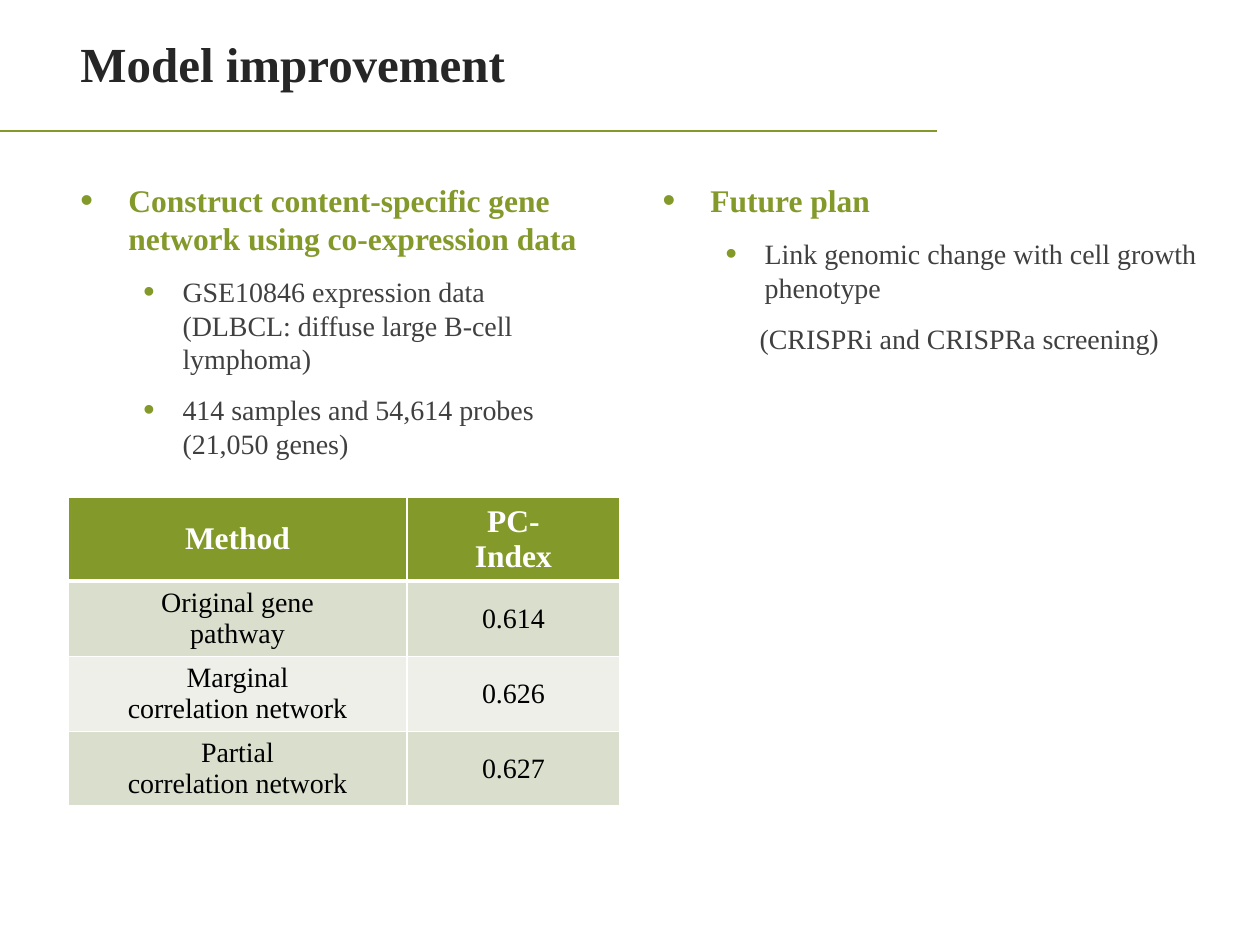
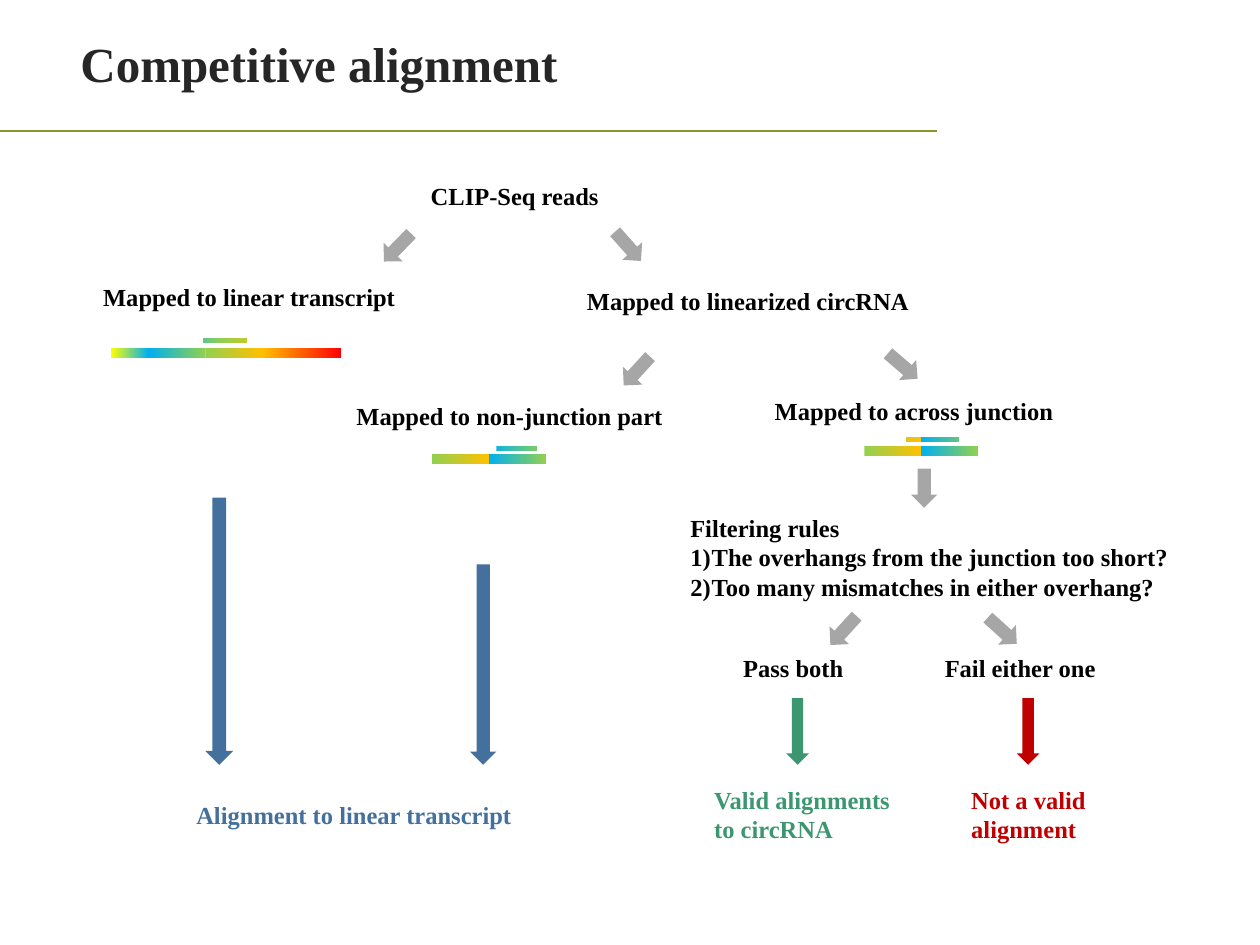
from pptx import Presentation
from pptx.dml.color import RGBColor
from pptx.enum.shapes import MSO_CONNECTOR, MSO_SHAPE
from pptx.enum.text import MSO_ANCHOR, PP_ALIGN
from pptx.oxml.ns import qn
from pptx.util import Pt
from lxml import etree

RECT, DOWN = MSO_SHAPE.RECTANGLE, MSO_SHAPE.DOWN_ARROW
LINE = MSO_CONNECTOR.STRAIGHT
MIDDLE, CENTER = MSO_ANCHOR.MIDDLE, PP_ALIGN.CENTER
FONT = "Times New Roman"
OLIVE, INK, BODY = "83992A", "262626", "404040"
BLACK, WHITE, GRAY = "000000", "FFFFFF", "A6A6A6"
BLUE, GREEN, RED = "44709D", "3C9770", "C00000"
BANDS = ("D9DECD", "EDEFE8")
LIME, GOLD, SKY = "92D050", "FFC000", "00B0F0"
FIRST, SECOND = (45, LIME, GOLD), (45, SKY, LIME)
LINEAR = ((30, "FFFF00", SKY), SECOND, FIRST, (63, GOLD, "FF0000"))
CIRCLE = (FIRST, SECOND)


def px(n):
    """Turn px, a hundred to the inch, into EMU."""
    return round(n * 9144)


def box(*sides):
    """Turn several px lengths into EMU."""
    return [px(n) for n in sides]


def color(code):
    """Make a colour from a hex string."""
    return RGBColor.from_string(code)


def style(para, size, code, bold=True):
    """Set the font of a paragraph."""
    font = para.font
    font.name, font.size, font.bold = FONT, Pt(size), bold
    font.color.rgb = color(code)


def node(parent, tag, **attrs):
    """Add a drawing element to a parent."""
    return etree.SubElement(parent, qn("a:" + tag), attrs)


def indent(para, left, hang):
    """Set a left margin and a hanging indent."""
    props = para._p.get_or_add_pPr()
    props.set("marL", str(px(left)))
    props.set("indent", str(-px(hang)))
    return props


def bullet(para, left, hang):
    """Give a paragraph a round olive bullet."""
    props = indent(para, left, hang)
    node(node(props, "buClr"), "srgbClr", val=OLIVE)
    node(props, "buSzPct", val="115000")
    node(props, "buFont", typeface="Arial")
    node(props, "buChar", char="•")


def text(slide, words, x, y, w, h, code=BLACK, size=14):
    """Add a bold text box and return its frame."""
    frame = slide.shapes.add_textbox(*box(x, y, w, h)).text_frame
    frame.word_wrap = True
    frame.text = words
    for para in frame.paragraphs:
        style(para, size, code)
    return frame


def page(deck, title):
    """Add a slide with its title and rule."""
    slide = deck.slides.add_slide(deck.slide_layouts[6])
    rule = slide.shapes.add_connector(LINE, *box(0, 104, 744, 104))
    rule.line.color.rgb = color(OLIVE)
    rule.line.width = Pt(1.25)
    node(rule._element.spPr, "effectLst")
    frame = text(slide, title, 54, 8, 689, 84, INK, 28)
    frame.vertical_anchor = MIDDLE
    return slide


def outline(slide, head, items, x, y, w, h):
    """Add a bulleted heading with its points and return the frame."""
    frame = text(slide, "\n".join([head, *items]), x, y, w, h, BODY, 16)
    first, *rest = frame.paragraphs
    for para in frame.paragraphs:
        para.space_before = Pt(10)
    style(first, 18, OLIVE)
    bullet(first, 38, 38)
    for para in rest:
        style(para, 16, BODY, False)
        bullet(para, 81, 31)
    return frame


def border(cell, heavy):
    """Draw white cell edges, with a thick lower one if heavy."""
    props = cell._tc.get_or_add_tcPr()
    for side in "LRTB":
        width = Pt(3) if heavy and side == "B" else Pt(1)
        edge = node(props, "ln" + side, w=str(width))
        node(node(edge, "solidFill"), "srgbClr", val=WHITE)


def table(slide, rows, x, y, widths, heights):
    """Add a banded table with an olive head row."""
    grid = slide.shapes.add_table(
        len(rows), len(widths), *box(x, y, sum(widths), sum(heights))).table
    for col, width in zip(grid.columns, widths):
        col.width = px(width)
    for r, (row, height) in enumerate(zip(rows, heights)):
        grid.rows[r].height = px(height)
        head = r == 0
        for c, words in enumerate(row):
            cell = grid.cell(r, c)
            cell.text = words
            cell.vertical_anchor = MIDDLE
            cell.margin_left = cell.margin_right = px(35)
            cell.margin_top = cell.margin_bottom = px(3)
            border(cell, head)
            cell.fill.solid()
            cell.fill.fore_color.rgb = color(OLIVE if head else BANDS[(r - 1) % 2])
            for para in cell.text_frame.paragraphs:
                para.alignment = CENTER
                style(para, 18 if head else 16, WHITE if head else BLACK, head)


def shape(slide, kind, x, y, w, h):
    """Add a preset shape without line or shadow."""
    item = slide.shapes.add_shape(kind, *box(x, y, w, h))
    item.shadow.inherit = False
    item.line.fill.background()
    return item


def arrow(slide, x, y, w=21, h=31, code=GRAY, turn=0):
    """Add a block arrow that points down before its turn."""
    item = shape(slide, DOWN, x, y, w, h)
    item.rotation = turn
    item.fill.solid()
    item.fill.fore_color.rgb = color(code)


def blend(start, end, part):
    """Mix two colours by a share from 0 to 1."""
    pairs = zip(color(start), color(end))
    return RGBColor(*(round(a + (b - a) * part) for a, b in pairs))


def strip(slide, parts, x, y, h, low=0, high=1000):
    """Draw the gradient parts that lie between low and high."""
    for width, start, end in parts:
        left, right = max(x, low), min(x + width, high)
        if left < right:
            fill = shape(slide, RECT, left, y, right - left, h).fill
            fill.gradient()
            fill.gradient_angle = 0
            for stop, at in zip(fill.gradient_stops, (left, right)):
                stop.color.rgb = blend(start, end, (at - x) / width)
        x += width


def model(deck):
    """Build the slide on model improvement."""
    slide = page(deck, "Model improvement")
    rows = (("Method", "PC-Index"),
            ("Original gene pathway", "0.614"),
            ("Marginal\ncorrelation network", "0.626"),
            ("Partial\ncorrelation network", "0.627"))
    table(slide, rows, 54, 395, (269, 169), (63, 60, 59, 59))
    outline(slide, "Construct content-specific gene network using co-expression data",
            ["GSE10846 expression data (DLBCL: diffuse large B-cell lymphoma)",
             "414 samples and 54,614 probes (21,050 genes)"], 54, 139, 429, 272)
    frame = outline(slide, "Future plan",
                    ["Link genomic change with cell growth phenotype"],
                    516, 139, 451, 255)
    note = frame.add_paragraph()
    note.text = "(CRISPRi and CRISPRa screening)"
    note.space_before = Pt(10)
    style(note, 16, BODY, False)
    indent(note, 77, 0)


def align(deck):
    """Build the slide on competitive alignment."""
    slide = page(deck, "Competitive alignment")
    strip(slide, LINEAR, 88, 276, 8)
    strip(slide, LINEAR, 102, 268, 4, 161, 196)
    strip(slide, CIRCLE, 343, 360, 8)
    strip(slide, CIRCLE, 343, 354, 4, 394, 426)
    strip(slide, CIRCLE, 686, 354, 8)
    strip(slide, CIRCLE, 686, 347, 4, 719, 761)

    labels = (("CLIP-Seq reads", 332, 139, 160, 34, BLACK),
              ("Mapped to linear transcript", 72, 219, 260, 34, BLACK),
              ("Mapped to linearized circRNA", 456, 222, 284, 34, BLACK),
              ("Mapped to non-junction part", 273, 313, 271, 34, BLACK),
              ("Mapped to across junction", 605, 309, 249, 34, BLACK),
              ("Pass both", 580, 513, 107, 34, BLACK),
              ("Fail either one", 740, 513, 147, 34, BLACK),
              ("Alignment to linear transcript", 146, 630, 276, 34, BLUE),
              ("Valid alignments to circRNA", 557, 618, 160, 57, GREEN),
              ("Not a valid alignment", 761, 618, 126, 57, RED))
    for label in labels:
        text(slide, *label)

    rules = text(slide, "Filtering rules\nThe overhangs from the junction too short?\n"
                 "Too many mismatches in either overhang?", 538, 402, 405, 81)
    for para in rules.paragraphs[1:]:
        props = indent(para, 17, 17)
        node(props, "buFont", typeface="+mj-lt")
        node(props, "buAutoNum", type="arabicParenR")

    turns = ((305, 181, 44.2), (488, 180, 318.5), (495, 279, 42.4),
             (706, 275, 310.5), (723, 372, 0), (659, 485, 42.4), (785, 485, 312.1))
    for x, y, turn in turns:
        arrow(slide, x, y, turn=turn)
    ends = ((163, 395, 22, BLUE), (373, 448, 21, BLUE),
            (624, 554, 18, GREEN), (807, 554, 18, RED))
    for x, y, w, code in ends:
        arrow(slide, x, y, w, 607 - y, code)


def main():
    """Build and save the deck."""
    deck = Presentation()
    deck.slide_width, deck.slide_height = box(1000, 750)
    model(deck)
    align(deck)
    deck.save("out.pptx")


if __name__ == "__main__":
    main()
